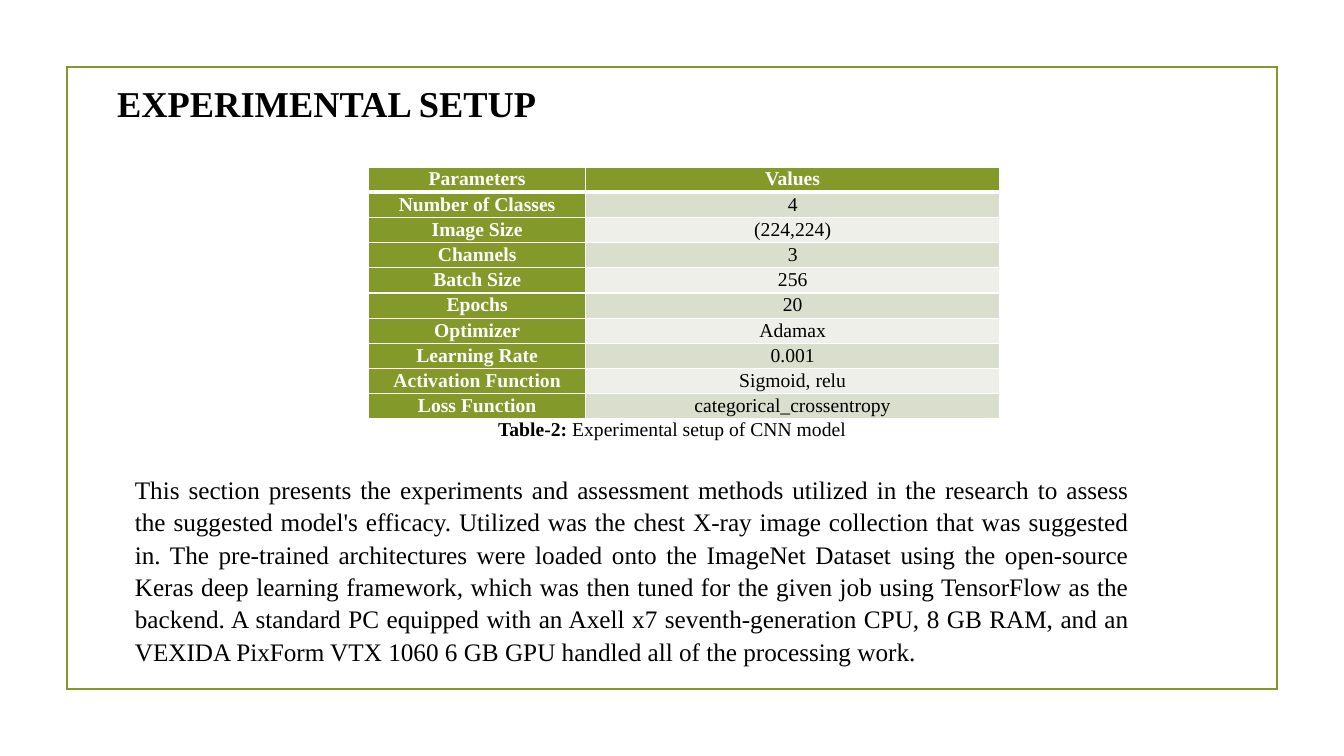
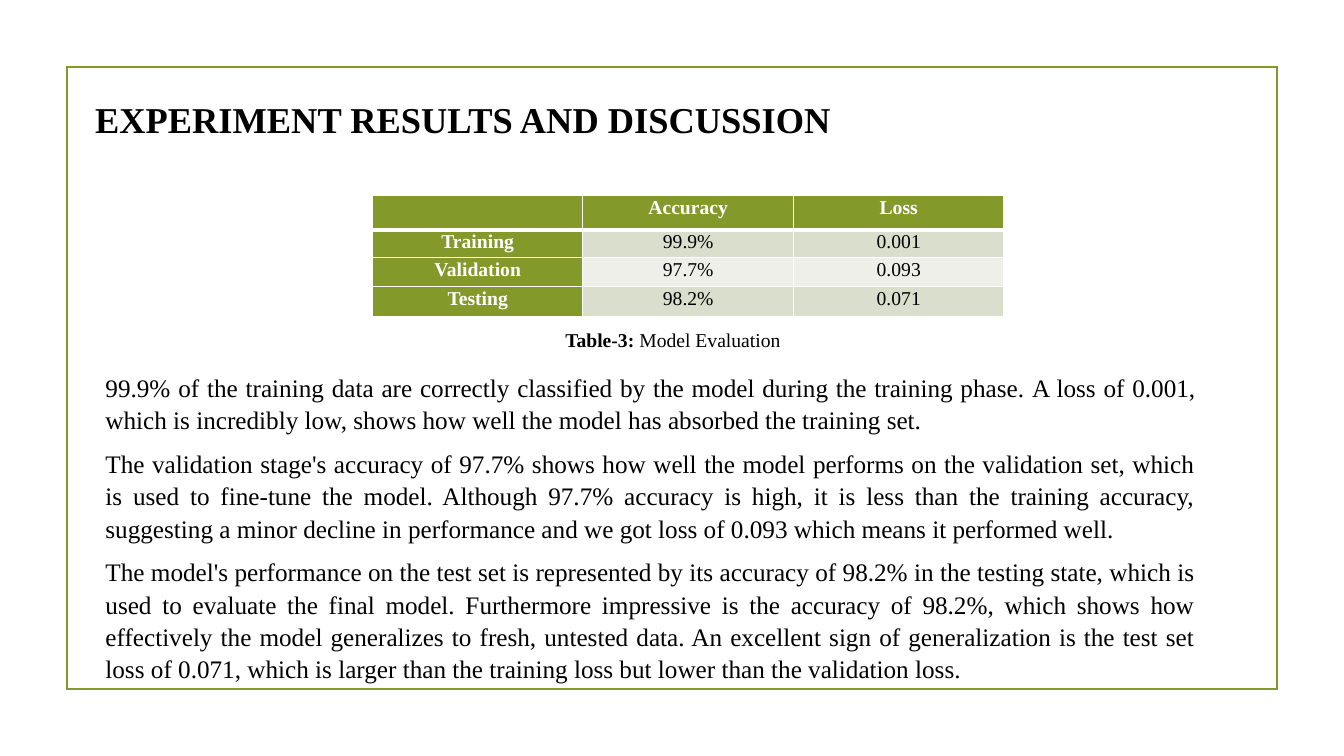
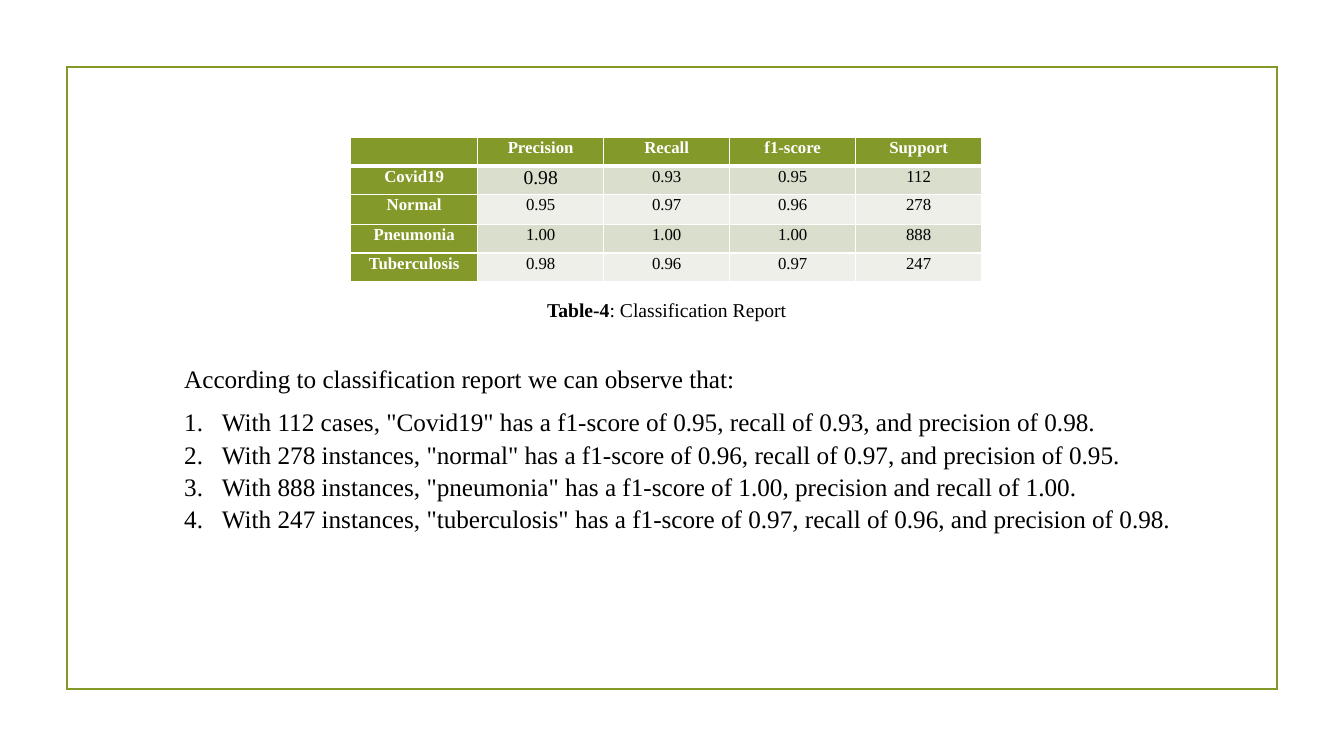
from lxml import etree
from pptx import Presentation
from pptx.dml.color import RGBColor
from pptx.enum import shapes, text
from pptx.oxml.ns import qn
from pptx.util import Emu, Pt

PX = 9525
SLIDE = (1280, 720)
FRAME = (64, 64, 1152, 592)
FONT = "Times New Roman"
GREEN = RGBColor(0x83, 0x99, 0x2A)
BAND_DARK = RGBColor(0xD9, 0xDE, 0xCD)
BAND_LIGHT = RGBColor(0xED, 0xEF, 0xE8)
WHITE = RGBColor(0xFF, 0xFF, 0xFF)
BLACK = RGBColor(0x00, 0x00, 0x00)
LEFT, CENTER, JUSTIFY = text.PP_ALIGN.LEFT, text.PP_ALIGN.CENTER, text.PP_ALIGN.JUSTIFY
TITLE_ONLY, BLANK = 5, 6

SETUP_ROWS = [
    ("Parameters", "Values"),
    ("Number of Classes", "4"),
    ("Image Size", "(224,224)"),
    ("Channels", "3"),
    ("Batch Size", "256"),
    ("Epochs", "20"),
    ("Optimizer", "Adamax"),
    ("Learning Rate", "0.001"),
    ("Activation Function", "Sigmoid, relu"),
    ("Loss Function", "categorical_crossentropy"),
]
EVALUATION_ROWS = [
    ("", "Accuracy", "Loss"),
    ("Training", "99.9%", "0.001"),
    ("Validation", "97.7%", "0.093"),
    ("Testing", "98.2%", "0.071"),
]
REPORT_ROWS = [
    ("", "Precision", "Recall", "f1-score", "Support"),
    ("Covid19", "0.98", "0.93", "0.95", "112"),
    ("Normal", "0.95", "0.97", "0.96", "278"),
    ("Pneumonia", "1.00", "1.00", "1.00", "888"),
    ("Tuberculosis", "0.98", "0.96", "0.97", "247"),
]
SETUP_TEXT = (
    "This section presents the experiments and assessment methods utilized in the research "
    "to assess the suggested model's efficacy. Utilized was the chest X-ray image collection "
    "that was suggested in. The pre-trained architectures were loaded onto the ImageNet Dataset "
    "using the open-source Keras deep learning framework, which was then tuned for the given job "
    "using TensorFlow as the backend. A standard PC equipped with an Axell x7 seventh-generation "
    "CPU, 8 GB RAM, and an VEXIDA PixForm VTX 1060 6 GB GPU handled all of the processing work."
)
TRAINING_TEXT = (
    "99.9% of the training data are correctly classified by the model during the training phase."
)
TRAINING_LOSS_TEXT = (
    "A loss of 0.001, which is incredibly low, shows how well the model has absorbed the "
    "training set."
)
VALIDATION_TEXT = (
    "The validation stage's accuracy of 97.7% shows how well the model performs on the "
    "validation set, which is used to fine-tune the model. Although 97.7% accuracy is high, it "
    "is less than the training accuracy, suggesting a minor decline in performance and we got "
    "loss of 0.093 which means it performed well."
)
TESTING_TEXT = (
    "The model's performance on the test set is represented by its accuracy of 98.2% in the "
    "testing state, which is used to evaluate the final model. Furthermore impressive is the "
    "accuracy of 98.2%, which shows how effectively the model generalizes to fresh, untested "
    "data. An excellent sign of generalization is the test set loss of 0.071, which is larger "
    "than the training loss but lower than the validation loss."
)
REPORT_INTRO = "According to classification report we can observe that:"
REPORT_POINTS = [
    'With 112 cases, "Covid19" has a f1-score of 0.95, recall of 0.93, and precision of 0.98.',
    'With 278 instances, "normal" has a f1-score of 0.96, recall of 0.97, and precision of 0.95.',
    'With 888 instances, "pneumonia" has a f1-score of 1.00, precision and recall of 1.00.',
    'With 247 instances, "tuberculosis" has a f1-score of 0.97, recall of 0.96, and precision of 0.98.',
]


def px(n):
    """Turn pixels into EMU."""
    return Emu(n * PX)


def add_run(p, content, size=18, bold=False, color=BLACK, font=FONT):
    """Append formatted text to a paragraph."""
    r = p.add_run()
    r.text = content
    r.font.size = Pt(size)
    r.font.bold = bold
    r.font.name = font
    r.font.color.rgb = color


def set_paragraph(p, align=LEFT, spacing=1.0, after=0):
    """Set the alignment and spacing of a paragraph."""
    p.alignment = align
    p.line_spacing = spacing
    p.space_before = Pt(0)
    p.space_after = Pt(after)


def set_number(p, indent=36):
    """Number a paragraph with a hanging indent."""
    pPr = p._p.get_or_add_pPr()
    pPr.set("marL", str(px(indent)))
    pPr.set("indent", str(-px(indent)))
    etree.SubElement(pPr, qn("a:buFont"), typeface="+mj-lt")
    etree.SubElement(pPr, qn("a:buAutoNum"), type="arabicPeriod")


def add_slide(prs, layout):
    """Add a slide with the shared green frame."""
    s = prs.slides.add_slide(prs.slide_layouts[layout])
    sp = s.shapes.add_shape(shapes.MSO_SHAPE.RECTANGLE, *map(px, FRAME))
    sp.shadow.inherit = False
    sp.fill.background()
    sp.line.color.rgb = GREEN
    sp.line.width = Pt(1.25)
    etree.SubElement(sp.line._get_or_add_ln(), qn("a:miter"), lim="800000")
    return s


def set_title(s, content, box):
    """Place and format the slide title."""
    sp = s.shapes.title
    sp.left, sp.top, sp.width, sp.height = map(px, box)
    tf = sp.text_frame
    tf.word_wrap = True
    tf.auto_size = text.MSO_AUTO_SIZE.NONE
    tf.vertical_anchor = text.MSO_ANCHOR.TOP
    p = tf.paragraphs[0]
    set_paragraph(p)
    add_run(p, content, size=26, bold=True)


def add_box(s, box, wrap=True):
    """Add a text box that grows with its text."""
    tf = s.shapes.add_textbox(*map(px, box)).text_frame
    tf.word_wrap = wrap
    tf.auto_size = text.MSO_AUTO_SIZE.SHAPE_TO_FIT_TEXT
    return tf


def add_caption(s, label, content, box, align=CENTER):
    """Add a table caption with a bold label."""
    p = add_box(s, box, wrap=align == LEFT).paragraphs[0]
    set_paragraph(p, align)
    add_run(p, label, size=14, bold=True)
    add_run(p, content, size=14)


def add_body(s, paragraphs, box, points=()):
    """Add justified paragraphs of runs, then numbered points."""
    tf = add_box(s, box)
    for i, runs in enumerate(paragraphs):
        p = tf.paragraphs[0] if i == 0 else tf.add_paragraph()
        set_paragraph(p, JUSTIFY, 1.07, 8)
        for content, fmt in runs:
            add_run(p, content, **fmt)
    for point in points:
        p = tf.add_paragraph()
        set_paragraph(p, JUSTIFY, 1.07)
        set_number(p)
        add_run(p, point)


def set_borders(cell, top, bottom):
    """Draw white borders around a cell."""
    tcPr = cell._tc.get_or_add_tcPr()
    for side, width in (("L", 1), ("R", 1), ("T", top), ("B", bottom)):
        ln = etree.SubElement(tcPr, qn(f"a:ln{side}"), w=str(Pt(width)))
        fill = etree.SubElement(ln, qn("a:solidFill"))
        etree.SubElement(fill, qn("a:srgbClr"), val=str(WHITE))


def set_cell(cell, content, row, col, size):
    """Fill one cell by its place in the table."""
    head = row == 0 or col == 0
    set_borders(cell, top=3 if row == 1 else 1, bottom=3 if row == 0 else 1)
    cell.fill.solid()
    cell.fill.fore_color.rgb = GREEN if head else BAND_DARK if row % 2 else BAND_LIGHT
    cell.margin_left = cell.margin_right = px(7)
    cell.margin_top = cell.margin_bottom = 0
    p = cell.text_frame.paragraphs[0]
    set_paragraph(p, CENTER, 1.07)
    if content:
        add_run(p, content, size=size, bold=head, color=WHITE if head else BLACK)
    else:
        etree.SubElement(p._p, qn("a:endParaRPr"), sz=str(size * 100))


def add_grid(s, rows, at, widths, heights, size=14, sizes=None):
    """Add a green banded table at a corner point."""
    box = (*at, sum(widths), sum(heights))
    tbl = s.shapes.add_table(len(rows), len(widths), *map(px, box)).table
    for column, width in zip(tbl.columns, widths):
        column.width = px(width)
    for i, (row, height) in enumerate(zip(rows, heights)):
        tbl.rows[i].height = px(height)
        for j, content in enumerate(row):
            set_cell(tbl.cell(i, j), content, i, j, (sizes or {}).get((i, j), size))


def setup_slide(prs):
    """Build the slide on the experimental setup."""
    s = add_slide(prs, TITLE_ONLY)
    set_title(s, "EXPERIMENTAL SETUP", (102, 72, 640, 52))
    add_grid(s, SETUP_ROWS, (351, 159), (207, 394), [24] * len(SETUP_ROWS))
    add_body(s, [[(SETUP_TEXT, {})]], (119, 445, 966, 195))
    add_caption(s, "Table-2: ", "Experimental setup of CNN model", (465, 392, 786, 33), LEFT)


def results_slide(prs):
    """Build the slide on results and discussion."""
    s = add_slide(prs, TITLE_ONLY)
    set_title(s, "EXPERIMENT RESULTS AND DISCUSSION", (81, 88, 777, 52))
    add_grid(s, EVALUATION_ROWS, (355, 186), (200, 201, 200), (33, 26, 28, 29))
    add_caption(s, "Table-3: ", "Model Evaluation", (528, 308, 226, 33))
    training = [
        (TRAINING_TEXT, {}),
        (" ", {"size": 16, "font": "Calibri"}),
        (TRAINING_LOSS_TEXT, {}),
    ]
    paragraphs = [training, [(VALIDATION_TEXT, {})], [(TESTING_TEXT, {})]]
    add_body(s, paragraphs, (91, 348, 1057, 310))


def report_slide(prs):
    """Build the slide on the classification report."""
    s = add_slide(prs, BLANK)
    widths = (121, 120, 120, 120, 120)
    add_grid(s, REPORT_ROWS, (334, 131), widths, (27, 27, 29, 27, 27), 12, {(1, 1): 14})
    add_caption(s, "Table-4", ": Classification Report", (510, 279, 250, 33))
    add_body(s, [[(REPORT_INTRO, {})]], (166, 339, 981, 174), REPORT_POINTS)


def main():
    """Build and save the presentation."""
    prs = Presentation()
    prs.slide_width, prs.slide_height = map(px, SLIDE)
    for build in (setup_slide, results_slide, report_slide):
        build(prs)
    prs.save("out.pptx")


if __name__ == "__main__":
    main()
